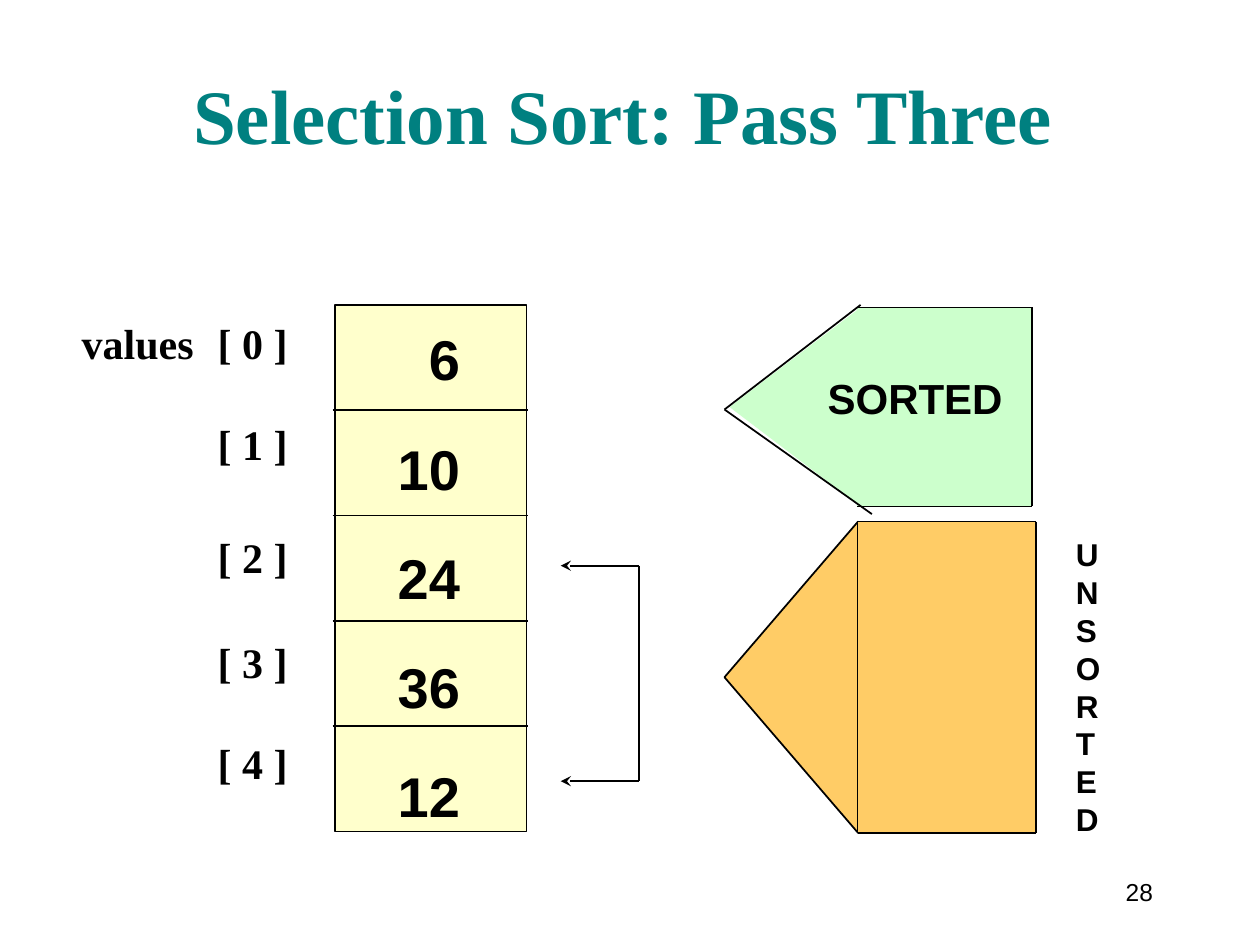
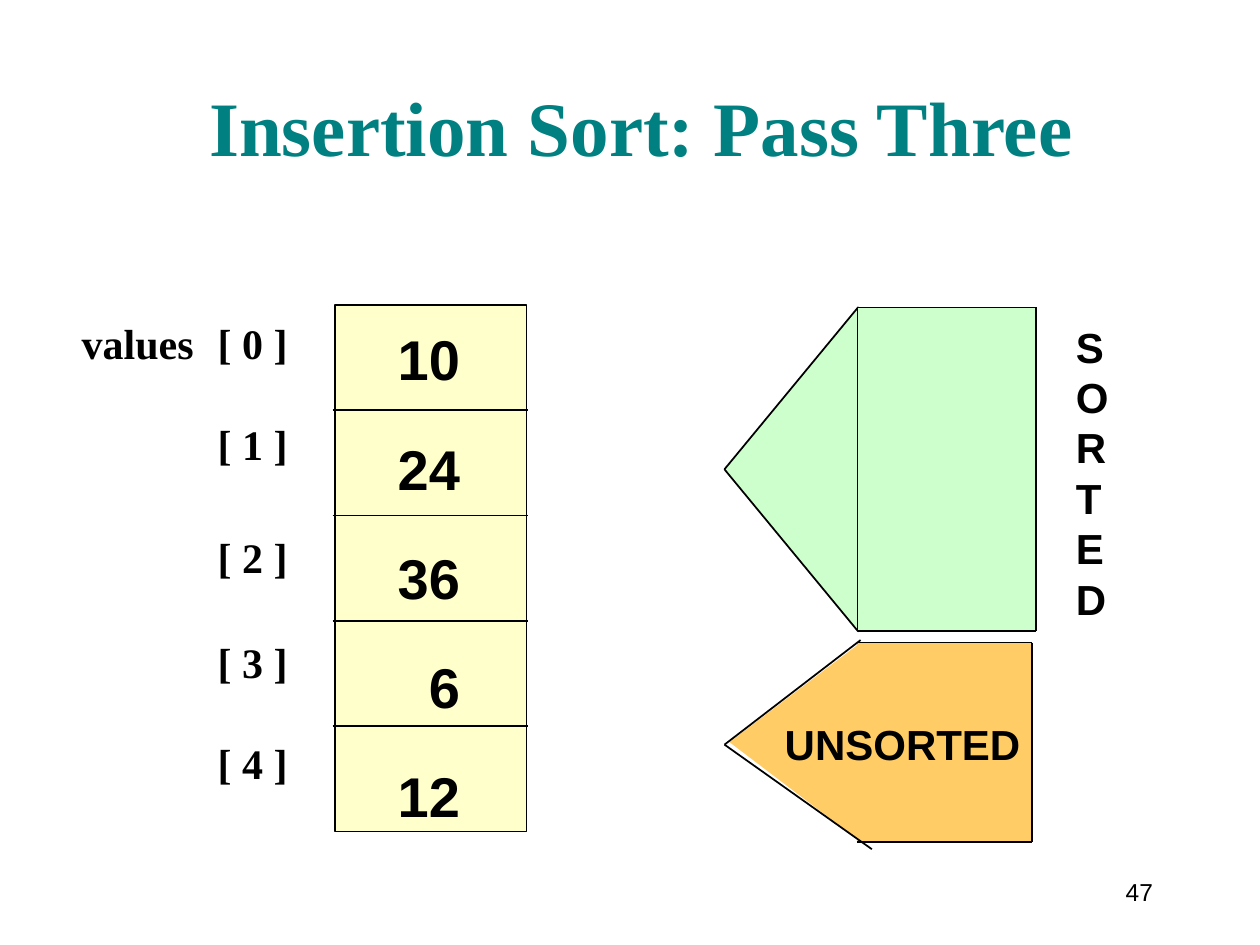
from pptx import Presentation, util as u
from pptx.dml.color import RGBColor
from pptx.enum import shapes, text
from pptx.oxml.ns import qn
from lxml import etree

WIDTH, HEIGHT = u.Inches(10), u.Inches(7.5)
COLUMNS, ROWS = 10, 7.5
BLACK, TEAL = "000000", "008080"
YELLOW, GREEN, ORANGE = "FFFFCC", "CCFFCC", "FFCC66"
SANS, SERIF = "Arial", "Times New Roman"
LEFT, CENTER, RIGHT = (text.PP_ALIGN.LEFT, text.PP_ALIGN.CENTER,
                       text.PP_ALIGN.RIGHT)
TOP, MIDDLE, BOTTOM = (text.MSO_ANCHOR.TOP, text.MSO_ANCHOR.MIDDLE,
                       text.MSO_ANCHOR.BOTTOM)


def color(value):
    return RGBColor.from_string(value)


def across(columns):
    return round(columns * WIDTH / COLUMNS)


def down(rows):
    return round(rows * HEIGHT / ROWS)


def place(left, top, width, height):
    return across(left), down(top), across(width), down(height)


def add_text(slide, box, lines, size=24, font=SANS, fill=BLACK, bold=True,
             align=LEFT, anchor=TOP, wrap=False, gaps=None, tab=None):
    """Write one paragraph per line; gaps are the points before each."""
    frame = slide.shapes.add_textbox(*place(*box)).text_frame
    frame.word_wrap = wrap
    frame.vertical_anchor = anchor
    for index, line in enumerate(lines):
        paragraph = frame.paragraphs[0] if index == 0 else frame.add_paragraph()
        paragraph.text = line
        paragraph.alignment = align
        paragraph.line_spacing = u.Pt(1.2 * size)
        if gaps and index:
            paragraph.space_before = u.Pt(gaps[index - 1])
        if tab:
            tabs = etree.SubElement(paragraph._p.get_or_add_pPr(), qn("a:tabLst"))
            etree.SubElement(tabs, qn("a:tab"), pos=str(across(tab)), algn="l")
        for run in paragraph.runs:
            run.font.size = u.Pt(size)
            run.font.name = font
            run.font.bold = bold
            run.font.color.rgb = color(fill)


def add_block(slide, kind, box, fill, outlined=False):
    shape = slide.shapes.add_shape(kind, *place(*box))
    shape.shadow.inherit = False
    shape.fill.solid()
    shape.fill.fore_color.rgb = color(fill)
    if outlined:
        shape.line.color.rgb = color(BLACK)
        shape.line.width = u.Pt(1)
    else:
        shape.line.fill.background()
    return shape


def add_left_triangle(slide, box, fill, outlined=False):
    """Fill the box with a triangle whose tip points left."""
    left, top, width, height = box
    shift = (height - width) / 2
    turned = (left - shift, top + shift, height, width)
    shape = add_block(slide, shapes.MSO_SHAPE.ISOSCELES_TRIANGLE, turned,
                      fill, outlined)
    shape.rotation = 270


def add_line(slide, start, end, arrow=False):
    line = slide.shapes.add_connector(
        shapes.MSO_CONNECTOR.STRAIGHT, across(start[0]), down(start[1]),
        across(end[0]), down(end[1]))
    line.line.color.rgb = color(BLACK)
    line.line.width = u.Pt(1)
    properties = line._element.spPr
    if arrow:
        etree.SubElement(properties.find(qn("a:ln")), qn("a:headEnd"),
                         type="stealth")
    etree.SubElement(properties, qn("a:effectLst"))


def add_path(slide, points):
    for start, end in zip(points, points[1:]):
        add_line(slide, start, end)


def add_array(slide, box, values):
    """Draw the indices and the stacked cells that hold the values."""
    left, top, width, height = box
    indices = [f"{'values' if i == 0 else ''}\t[ {i} ]"
               for i in range(len(values))]
    add_text(slide, (left - 2.11, top + 0.05, 2.1, 3.83), indices, font=SERIF,
             wrap=True, gaps=(28.8, 36, 31.2, 28.8), tab=1.08)
    add_block(slide, shapes.MSO_SHAPE.RECTANGLE, box, YELLOW, outlined=True)
    for row in range(1, len(values)):
        y = top + row * height / len(values)
        add_line(slide, (left - 0.02, y), (left + width + 0.01, y))
    add_text(slide, (left + 0.39, top + 0.11, 0.7, 4.1), values, size=32,
             align=RIGHT, gaps=[24] * (len(values) - 1))


def add_body(slide, left, right, top, bottom, fill):
    """Draw a block that is open on its left side."""
    add_block(slide, shapes.MSO_SHAPE.RECTANGLE,
              (left, top, right - left, bottom - top), fill)
    add_path(slide, [(left, top), (right, top), (right, bottom), (left, bottom)])


def add_tall_pointer(slide, box, fill, label, size):
    """Draw a pointer with its label spelled downwards at its right."""
    left, top, width, height = box
    neck = left + 1.06
    add_left_triangle(slide, (left, top, 1.06, height), fill, outlined=True)
    add_body(slide, neck, left + width, top, top + height, fill)
    add_text(slide, (left + width + 0.22, top + 0.06, 0.46, 2.5), list(label),
             size=size)


def add_short_pointer(slide, box, fill, label, label_box):
    """Draw a pointer with its label inside and edges past its corners."""
    left, top, width, height = box
    neck, tip = left + 1.05, (left, top + 0.81)
    add_left_triangle(slide, (left + 0.04, top, 1.04, height), fill)
    add_body(slide, neck, left + width, top, top + height, fill)
    add_path(slide, [(left + 1.08, top - 0.02), tip, (left + 1.17, top + 1.64)])
    x, y, label_width = label_box
    add_text(slide, (left + x, top + y, label_width, 0.5), [label])


def add_swap(slide, box):
    """Join two cells by a bracket with an arrow at each end."""
    left, top, width, height = box
    right, bottom = left + width, top + height
    add_line(slide, (right, top), (right, bottom))
    for y in (top, bottom):
        add_line(slide, (left, y), (right, y), arrow=True)


def add_sort_slide(presentation, title, title_box, number, values):
    slide = presentation.slides.add_slide(presentation.slide_layouts[6])
    add_text(slide, (8.58, 6.83, 0.67, 0.5), [number], size=14, bold=False,
             align=RIGHT, anchor=MIDDLE)
    add_text(slide, title_box, [title], size=44, font=SERIF, fill=TEAL,
             align=CENTER, anchor=BOTTOM, wrap=True)
    add_array(slide, (2.66, 2.42, 1.52, 4.18), values)
    return slide


def main():
    presentation = Presentation()
    presentation.slide_width, presentation.slide_height = WIDTH, HEIGHT

    selection = add_sort_slide(
        presentation, "Selection Sort: Pass Three", (0.8, 0.07, 8.29, 1.25),
        "28", ["6", "10", "24", "36", "12"])
    add_tall_pointer(selection, (5.75, 4.14, 2.47, 2.47), ORANGE, "UNSORTED", 18)
    add_swap(selection, (4.45, 4.49, 0.62, 1.71))
    add_short_pointer(selection, (5.75, 2.44, 2.44, 1.58), GREEN, "SORTED",
                      (0.72, 0.47, 1.59))

    insertion = add_sort_slide(
        presentation, "Insertion Sort: Pass Three", (1.45, 0.16, 7.28, 1.25),
        "47", ["10", "24", "36", "6", "12"])
    add_short_pointer(insertion, (5.75, 5.1, 2.44, 1.58), ORANGE, "UNSORTED",
                      (0.38, 0.55, 2.07))
    add_tall_pointer(insertion, (5.75, 2.44, 2.47, 2.57), GREEN, "SORTED", 24)

    presentation.save("out.pptx")


if __name__ == "__main__":
    main()
